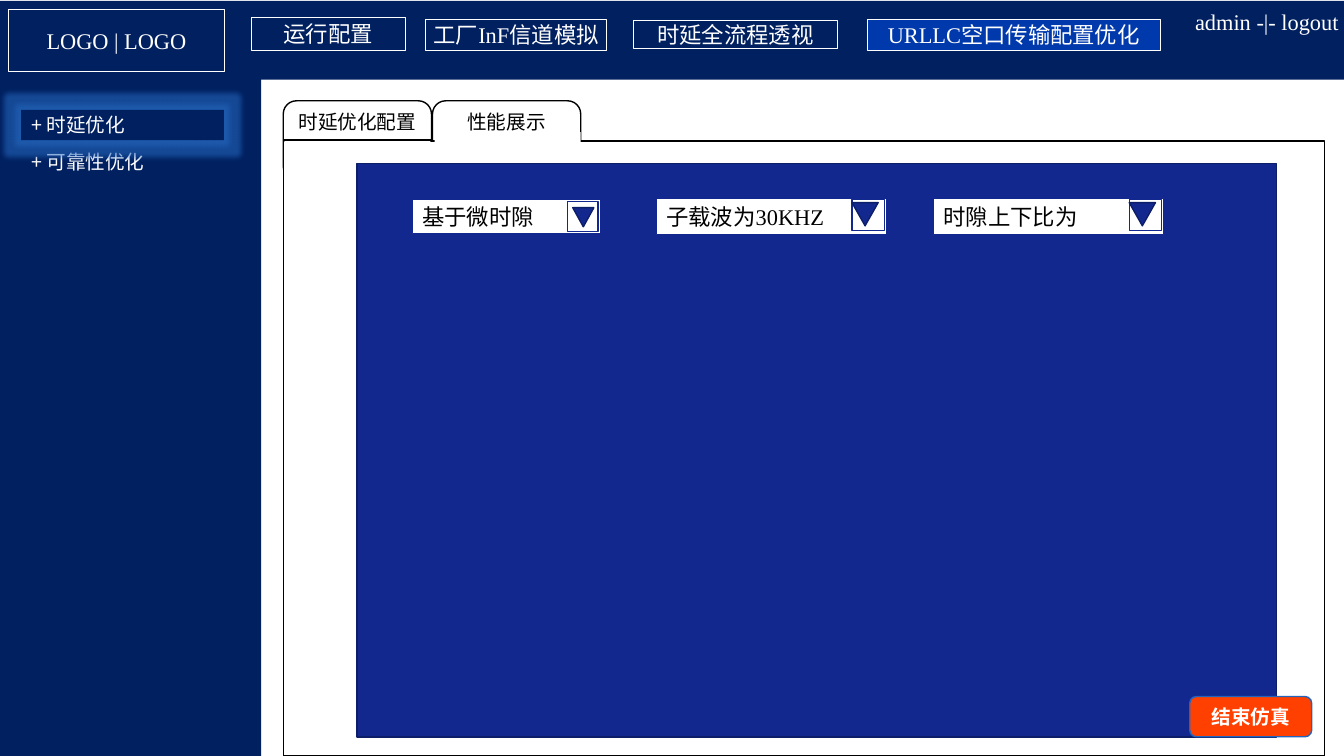
from lxml.etree import SubElement
from pptx import Presentation
from pptx.dml.color import RGBColor
from pptx.enum.shapes import MSO_CONNECTOR, MSO_SHAPE
from pptx.enum.text import MSO_ANCHOR, PP_ALIGN
from pptx.oxml.ns import qn
from pptx.util import Inches, Pt

WHITE, BLACK = "FFFFFF", "000000"
NAVY, ACTIVE, PANEL, PANEL_EDGE = "002060", "0039AC", "12288E", "0D1E69"
SERIF, SANS = "Times New Roman", "Noto Sans CJK SC"


def color(hex_string):
    return RGBColor.from_string(hex_string)


def add_box(shapes, box, fill=None, line=None, width=1, kind=MSO_SHAPE.RECTANGLE):
    shape = shapes.add_shape(kind, *map(Inches, box))
    shape.shadow.inherit = False
    if fill:
        shape.fill.solid()
        shape.fill.fore_color.rgb = color(fill)
    else:
        shape.fill.background()
    if line:
        shape.line.color.rgb = color(line)
        shape.line.width = Pt(width)
    else:
        shape.line.fill.background()
    return shape


def set_text(shape, text, size, font_color=WHITE, font=SERIF, align=PP_ALIGN.CENTER,
             anchor=MSO_ANCHOR.MIDDLE, inset=True, bold=False):
    frame = shape.text_frame
    frame.text = text
    frame.word_wrap = True
    frame.vertical_anchor = anchor
    if not inset:
        frame.margin_left = frame.margin_right = Inches(0)
        frame.margin_top = frame.margin_bottom = Inches(0)
    paragraph = frame.paragraphs[0]
    paragraph.alignment = align
    run = paragraph.runs[0]
    run.font.name = font
    run.font.size = Pt(size)
    run.font.bold = bold
    run.font.color.rgb = color(font_color)
    if font == SANS:
        SubElement(run.font._element, qn("a:ea"), typeface=font)


def add_glow(shape, hex_string, radius, opacity):
    effects = shape._element.spPr.find(qn("a:effectLst"))
    glow = SubElement(effects, qn("a:glow"), rad=str(Pt(radius)))
    glow_color = SubElement(glow, qn("a:srgbClr"), val=hex_string)
    SubElement(glow_color, qn("a:alpha"), val=str(opacity * 1000))


def add_tab(shapes, left, text):
    tab = add_box(shapes, (left, 1, 1.47, 0.78), WHITE, BLACK,
                  kind=MSO_SHAPE.ROUNDED_RECTANGLE)
    set_text(tab, text, 14, BLACK, anchor=MSO_ANCHOR.TOP)


def add_line(shapes, start, end):
    line = shapes.add_connector(MSO_CONNECTOR.STRAIGHT, *map(Inches, start + end))
    line.line.color.rgb = color(BLACK)
    line.line.width = Pt(1)
    SubElement(line._element.spPr, qn("a:effectLst"))


def add_dropdown(shapes, text, field, button, arrow):
    group = shapes.add_group_shape().shapes
    set_text(add_box(group, field, WHITE, PANEL), text, 16, BLACK, align=PP_ALIGN.LEFT)
    add_box(group, button, WHITE, PANEL)
    triangle = add_box(group, arrow, PANEL, PANEL_EDGE, kind=MSO_SHAPE.ISOSCELES_TRIANGLE)
    triangle.rotation = 180


def add_text_box(shapes, box, text, size, **style):
    set_text(shapes.add_textbox(*map(Inches, box)), text, size, **style)


def add_tabs(shapes):
    add_tab(shapes, 4.29, "性能展示")
    add_tab(shapes, 2.81, "时延优化配置")
    add_box(shapes, (2.81, 1.4, 10.33, 6.1), WHITE, BLACK)
    add_box(shapes, (2.82, 1.39, 1.45, 0.11), WHITE)
    add_line(shapes, (2.81, 1.39), (4.28, 1.39))
    add_box(shapes, (4.31, 1.31, 1.45, 0.11), WHITE)


def add_header(shapes):
    add_box(shapes, (0, 0.01, 13.33, 0.78), NAVY)
    logo = add_box(shapes, (0.08, 0.09, 2.15, 0.62), None, WHITE, 0.75)
    set_text(logo, "LOGO | LOGO", 16)
    menu = [
        ("运行配置", (2.49, 0.17, 1.53, 0.33), NAVY),
        ("工厂InF信道模拟", (4.22, 0.19, 1.8, 0.31), None),
        ("时延全流程透视", (6.28, 0.2, 2.03, 0.28), None),
        ("URLLC空口传输配置优化", (8.6, 0.19, 2.91, 0.31), ACTIVE),
    ]
    for text, box, fill in menu:
        set_text(add_box(shapes, box, fill, WHITE, 0.75), text, 16, inset=False)
    add_text_box(shapes, (11.8, 0.07, 1.53, 0.28), "admin -|- logout", 16, inset=False)


def add_sidebar_items(shapes):
    style = {"font": SANS, "align": PP_ALIGN.LEFT}
    add_text_box(shapes, (0.21, 1.43, 2.01, 0.35), "+ 可靠性优化", 14, **style)
    selected = add_box(shapes, (0.21, 1.09, 2.01, 0.3), NAVY)
    add_glow(selected, "2465BB", 8, 60)
    set_text(selected, "+ 时延优化", 14, **style)


def add_panel(shapes):
    add_box(shapes, (3.54, 1.62, 9.12, 5.69), PANEL, PANEL_EDGE)


def add_dropdowns(shapes):
    add_dropdown(shapes, "基于微时隙", (4.09, 1.98, 1.87, 0.34),
                 (5.63, 2, 0.3, 0.3), (5.68, 2.06, 0.21, 0.19))
    for text, left in (("子载波为30KHZ", 6.51), ("时隙上下比为", 9.26)):
        add_dropdown(shapes, text, (left, 1.97, 2.28, 0.36),
                     (left + 1.94, 1.98, 0.32, 0.31), (left + 1.94, 2.01, 0.26, 0.23))


def main():
    presentation = Presentation()
    presentation.slide_width = Inches(13.33)
    presentation.slide_height = Inches(7.5)
    slide = presentation.slides.add_slide(presentation.slide_layouts[6])
    shapes = slide.shapes
    add_tabs(shapes)
    add_box(shapes, (0, 0.47, 2.59, 7.41), NAVY)
    add_header(shapes)
    add_panel(shapes)
    add_sidebar_items(shapes)
    add_dropdowns(shapes)
    stop_button = add_box(shapes, (11.8, 6.91, 1.21, 0.4), "FF4001", "2465BB",
                          kind=MSO_SHAPE.ROUNDED_RECTANGLE)
    set_text(stop_button, "结束仿真", 14, bold=True)
    presentation.save("out.pptx")


if __name__ == "__main__":
    main()
